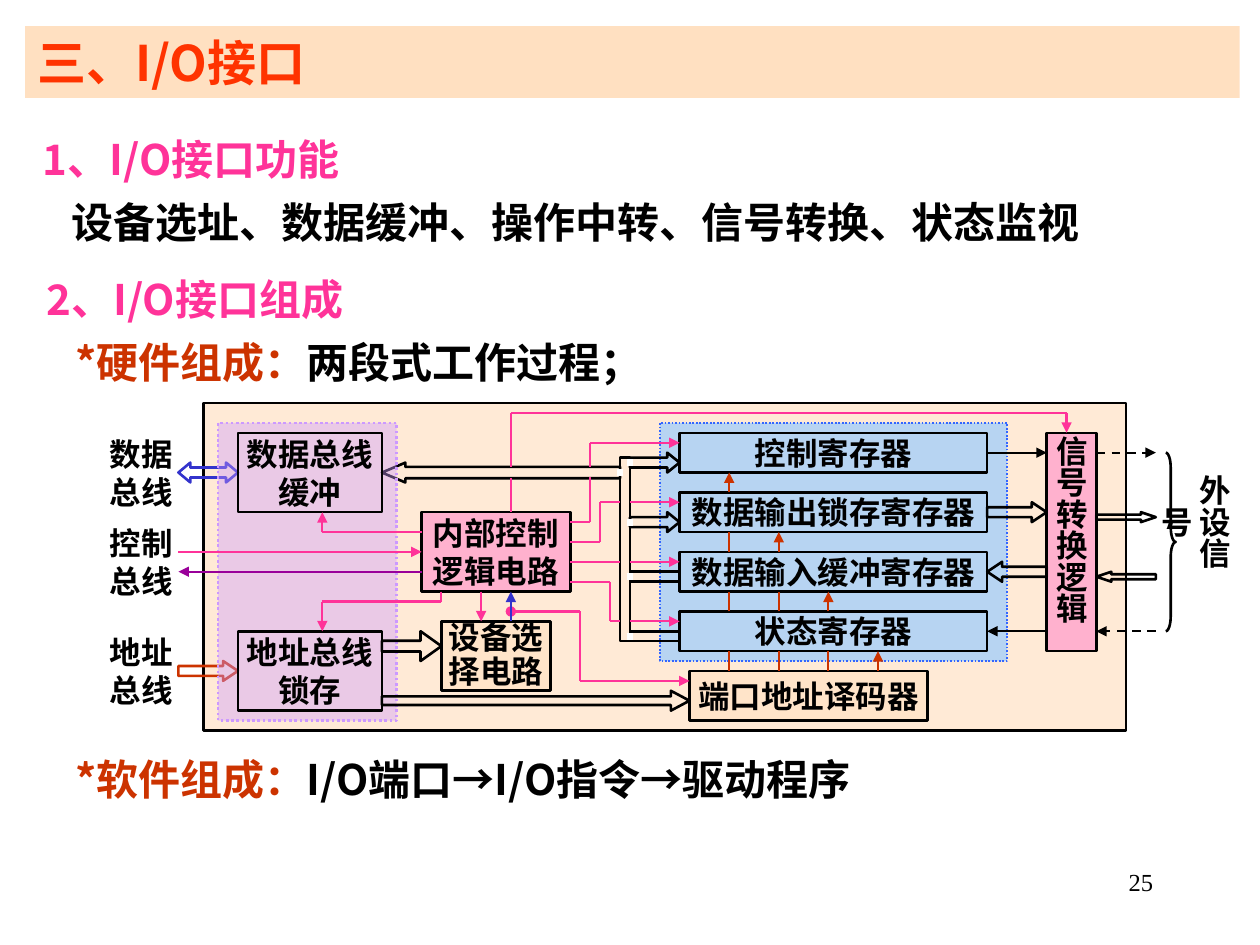
from dataclasses import dataclass
from itertools import pairwise
from typing import Optional

from lxml.etree import SubElement
from pptx import Presentation
from pptx.dml.color import RGBColor
from pptx.enum.dml import MSO_LINE
from pptx.enum.shapes import MSO_CONNECTOR, MSO_SHAPE
from pptx.enum.text import MSO_ANCHOR, PP_ALIGN
from pptx.oxml.ns import qn
from pptx.util import Pt


@dataclass(frozen=True)
class Theme:
    black: str = "000000"
    white: str = "FFFFFF"
    pink: str = "FF3399"
    rose: str = "FF99CC"
    red: str = "FF3300"
    rust: str = "CC3300"
    blue: str = "3333CC"
    purple: str = "990099"
    lilac: str = "CC99FF"
    peach: str = "FFCC99"
    sky: str = "99CCFF"
    border_blue: str = "3366FF"
    font: str = "Noto Sans CJK SC"
    number_font: str = "Times New Roman"
    title: float = 28
    body: float = 24
    label: float = 18
    number: float = 14
    outline: float = 1.5
    signal: float = 1.25
    eraser: float = 3


THEME = Theme()
STEP, LEFT, TOP = 5.67, 102, 236


@dataclass(frozen=True)
class Box:
    x: float
    y: float
    width: float
    height: float
    text: str = ""
    fill: Optional[str] = None
    alpha: int = 100
    line: Optional[str] = THEME.black
    weight: float = THEME.outline
    dotted: bool = False
    vertical: bool = False
    spacing: float = 1.0
    kind: MSO_SHAPE = MSO_SHAPE.RECTANGLE
    adjustments: tuple = ()
    rotation: float = 0


@dataclass(frozen=True)
class Route:
    points: tuple
    color: str = THEME.pink
    arrow: bool = True
    dot: bool = False
    dashed: bool = False
    weight: float = THEME.signal
    start: Optional[tuple] = None
    end: Optional[tuple] = None


def grid_x(column: float) -> Pt:
    return Pt(round(LEFT + STEP * column, 2))


def grid_y(row: float) -> Pt:
    return Pt(round(TOP + STEP * row, 2))


def span(steps: float) -> Pt:
    return Pt(round(STEP * steps, 2))


def write(paragraph, text: str, *, size: float, color: str = THEME.black, bold: bool = True,
          font: str = THEME.font, align=None, spacing: float = 1.0, indent: float = 0) -> None:
    properties = paragraph._p.get_or_add_pPr()
    properties.set("marL", str(Pt(indent)))
    properties.set("indent", "0")
    paragraph.line_spacing = spacing
    if align is not None:
        paragraph.alignment = align
    run = paragraph.add_run()
    run.text = text
    run.font.size = Pt(size)
    run.font.bold = bold
    run.font.name = font
    run.font.color.rgb = RGBColor.from_string(color)
    SubElement(run._r.get_or_add_rPr(), qn("a:ea")).set("typeface", font)


def set_fill(shape, color: Optional[str], alpha: int) -> None:
    if color is None:
        shape.fill.background()
        return
    shape.fill.solid()
    shape.fill.fore_color.rgb = RGBColor.from_string(color)
    if alpha < 100:
        element = shape._element.spPr.find(qn("a:solidFill")).find(qn("a:srgbClr"))
        SubElement(element, qn("a:alpha")).set("val", str(alpha * 1000))


def draw_box(slide, box: Box):
    shape = slide.shapes.add_shape(box.kind, grid_x(box.x), grid_y(box.y),
                                   span(box.width), span(box.height))
    shape.shadow.inherit = False
    shape.rotation = box.rotation
    for index, value in enumerate(box.adjustments):
        shape.adjustments[index] = value
    set_fill(shape, box.fill, box.alpha)
    if box.line is None:
        shape.line.fill.background()
    else:
        shape.line.color.rgb = RGBColor.from_string(box.line)
        shape.line.width = Pt(box.weight)
    if box.dotted:
        shape.line.dash_style = MSO_LINE.ROUND_DOT
    if box.text:
        frame = shape.text_frame
        frame.word_wrap = True
        frame.vertical_anchor = MSO_ANCHOR.MIDDLE
        across, along = (0.72, 1.44) if box.vertical else (1.44, 0.72)
        frame.margin_left = frame.margin_right = Pt(across)
        frame.margin_top = frame.margin_bottom = Pt(along)
        if box.vertical:
            frame._txBody.bodyPr.set("vert", "eaVert")
        write(frame.paragraphs[0], box.text, size=THEME.label, align=PP_ALIGN.CENTER,
              spacing=box.spacing)
    return shape


def draw_route(slide, route: Route) -> None:
    segments = list(pairwise(route.points))
    for index, ((x1, y1), (x2, y2)) in enumerate(segments):
        connector = slide.shapes.add_connector(
            MSO_CONNECTOR.STRAIGHT, grid_x(x1), grid_y(y1), grid_x(x2), grid_y(y2))
        connector.line.color.rgb = RGBColor.from_string(route.color)
        connector.line.width = Pt(route.weight)
        if route.dashed:
            connector.line.dash_style = MSO_LINE.DASH
        line = connector.line._get_or_add_ln()
        if route.dot and index == 0:
            SubElement(line, qn("a:headEnd")).set("type", "oval")
        if route.arrow and index == len(segments) - 1:
            SubElement(line, qn("a:tailEnd")).set("type", "triangle")
        SubElement(connector._element.spPr, qn("a:effectLst"))
        if route.start and index == 0:
            connector.begin_connect(*route.start)
        if route.end and index == len(segments) - 1:
            connector.end_connect(*route.end)


def block_arrow(x, y, width, height, shaft, head, rotation=0, color=THEME.black,
                kind=MSO_SHAPE.RIGHT_ARROW) -> Box:
    return Box(x, y, width, height, line=color, kind=kind, adjustments=(shaft, head),
               rotation=rotation)


def add_text(slide, left, top, width, height, lines, **text_format) -> None:
    frame = slide.shapes.add_textbox(Pt(left), Pt(top), Pt(width), Pt(height)).text_frame
    frame.word_wrap = True
    for index, (runs, indent) in enumerate(lines):
        paragraph = frame.paragraphs[0] if index == 0 else frame.add_paragraph()
        for text, color in runs:
            write(paragraph, text, color=color, indent=indent, **text_format)


def draw_headings(slide) -> None:
    banner = slide.shapes.add_shape(MSO_SHAPE.RECTANGLE, Pt(14.4), Pt(15), Pt(694), Pt(41))
    banner.shadow.inherit = False
    set_fill(banner, THEME.peach, 60)
    banner.line.fill.background()
    banner.text_frame.vertical_anchor = MSO_ANCHOR.TOP
    write(banner.text_frame.paragraphs[0], "三、I/O接口", size=THEME.title, color=THEME.red,
          align=PP_ALIGN.LEFT)
    body = dict(size=THEME.body, spacing=1.25)
    add_text(slide, 17.3, 65.5, 694, 79, [
        ([("1、I/O接口功能", THEME.pink)], 0),
        ([("设备选址、数据缓冲、操作中转、信号转换、状态监视", THEME.black)], 16.5)], **body)
    add_text(slide, 19.4, 145.5, 686, 79, [
        ([("2、I/O接口组成", THEME.pink)], 0),
        ([("*硬件组成：", THEME.rust), ("两段式工作过程；", THEME.black)], 16.5)], **body)
    add_text(slide, 19.4, 420, 686, 43, [
        ([("*软件组成：", THEME.rust), ("I/O端口→I/O指令→驱动程序", THEME.black)], 16.5)], **body)
    add_text(slide, 516, 492, 150, 36, [([("25", THEME.black)], 0)], size=THEME.number,
             bold=False, font=THEME.number_font, align=PP_ALIGN.RIGHT)


def draw_diagram(slide) -> None:
    draw_box(slide, Box(2.5, -1, 93, 33, fill=THEME.peach, alpha=40))
    for text, row in (("数据总线", 2), ("控制总线", 11), ("地址总线", 22)):
        draw_box(slide, Box(-7.5, row, 7.5, 8, text, line=None))
    draw_box(slide, Box(100.5, 6, 4, 13, "外设信号", line=None, vertical=True))
    for box in (
        block_arrow(0, 5, 6, 2, 0.5, 0.6, color=THEME.blue, kind=MSO_SHAPE.LEFT_RIGHT_ARROW),
        block_arrow(0, 25, 6, 2, 0.5, 0.75, color=THEME.rust),
        Box(99.5, 4, 1, 18, kind=MSO_SHAPE.RIGHT_BRACE, adjustments=(1.5, 0.5)),
        block_arrow(92.5, 10, 6, 1, 0.5, 1.5),
        block_arrow(92.5, 16, 6, 1, 0.5, 1.5, 180),
        Box(48.5, 1, 35, 24, fill=THEME.sky, alpha=70, line=THEME.border_blue, weight=1,
            dotted=True),
    ):
        draw_box(slide, box)
    logic = draw_box(slide, Box(24.5, 10, 15, 8, "内部控制逻辑电路", THEME.rose, 70))
    names = ("控制寄存器", "数据输出锁存寄存器", "数据输入缓冲寄存器", "状态寄存器")
    registers = [draw_box(slide, Box(50.5, 2 + 6 * index, 31, 4, name))
                 for index, name in enumerate(names)]
    for box in (
        Box(44.5, 4.5, 1, 18.5),
        block_arrow(45.5, 4, 5, 2, 0.5, 0.62), block_arrow(45.5, 10, 5, 2, 0.5, 0.62),
        Box(45.5, 16, 5, 1), Box(45.5, 22, 5, 1),
        block_arrow(20.5, 5, 24, 2, 0.58, 1.18, 180),
    ):
        draw_box(slide, box)
    for column, row in ((45.5, 5), (45.5, 11), (45.5, 16.5), (45.5, 22.5), (44.5, 6)):
        draw_route(slide, Route(((column, row - 0.35), (column, row + 0.35)), THEME.white,
                                arrow=False, weight=THEME.eraser))
    for box in (
        Box(4, 1, 18, 30, fill=THEME.lilac, alpha=40, line=THEME.lilac, dotted=True),
        Box(6, 2, 14.5, 8, "数据总线缓冲"), Box(6, 22, 14.5, 8, "地址总线锁存"),
        block_arrow(20.5, 28, 31, 2, 0.44, 0.94),
        Box(26.5, 21, 11, 7, "设备选择电路", THEME.peach, 20, spacing=0.9),
        block_arrow(20.5, 22, 6, 3, 0.36, 0.7),
        Box(51.5, 26, 24, 5, "端口地址译码器", THEME.peach, 20),
        block_arrow(81.5, 9, 6, 2, 0.5, 0.75), block_arrow(81.5, 15, 6, 2, 0.5, 0.75, 180),
        Box(87.5, 2, 5, 22, "信号转换逻辑", THEME.rose, 70, vertical=True),
    ):
        draw_box(slide, box)
    for index in range(4):
        column = 55.5 + 5 * index
        for gap in range(4 - index):
            draw_route(slide, Route(((column, 26 - 6 * gap), (column, 24 - 6 * gap)),
                                    THEME.rust, arrow=gap == 3 - index))
    for route in (
        Route(((0, 14), (24.5, 14)), end=(logic, 1)),
        Route(((24.5, 16), (0, 16)), THEME.purple),
        Route(((24.5, 12), (14.5, 12), (14.5, 10))),
        Route(((33.5, 20), (40.5, 20), (40.5, 27), (51.5, 27)), dot=True),
        Route(((33.5, 21), (33.5, 18)), THEME.blue),
        Route(((26.5, 18), (26.5, 19), (14.5, 19), (14.5, 22))),
        Route(((30.5, 18), (30.5, 21))),
        Route(((39.5, 11), (41.5, 11), (41.5, 6.5)), arrow=False),
        Route(((41.5, 5.4), (41.5, 3), (50.5, 3))),
        Route(((39.5, 13), (42.5, 13), (42.5, 9), (44.5, 9)), arrow=False),
        Route(((39.5, 15), (44.5, 15)), arrow=False),
        Route(((39.5, 17), (43.5, 17), (43.5, 21), (44.5, 21)), arrow=False),
        *(Route(((45.5, row), (50.5, row))) for row in (9, 15, 21)),
        Route(((33.5, 10), (33.5, 6.6)), arrow=False),
        Route(((33.5, 5.4), (33.5, 0), (89.5, 0), (89.5, 2))),
        Route(((81.5, 4), (87.5, 4)), THEME.black, start=(registers[0], 3)),
        Route(((87.5, 22), (81.5, 22)), THEME.black, end=(registers[3], 3)),
        Route(((92.5, 4), (98.5, 4)), THEME.black, dashed=True),
        Route(((98.5, 22), (92.5, 22)), THEME.black, dashed=True),
    ):
        draw_route(slide, route)


def main() -> None:
    presentation = Presentation()
    presentation.slide_width, presentation.slide_height = Pt(720), Pt(540)
    slide = presentation.slides.add_slide(presentation.slide_layouts[6])
    draw_headings(slide)
    draw_diagram(slide)
    presentation.save("out.pptx")


if __name__ == "__main__":
    main()
